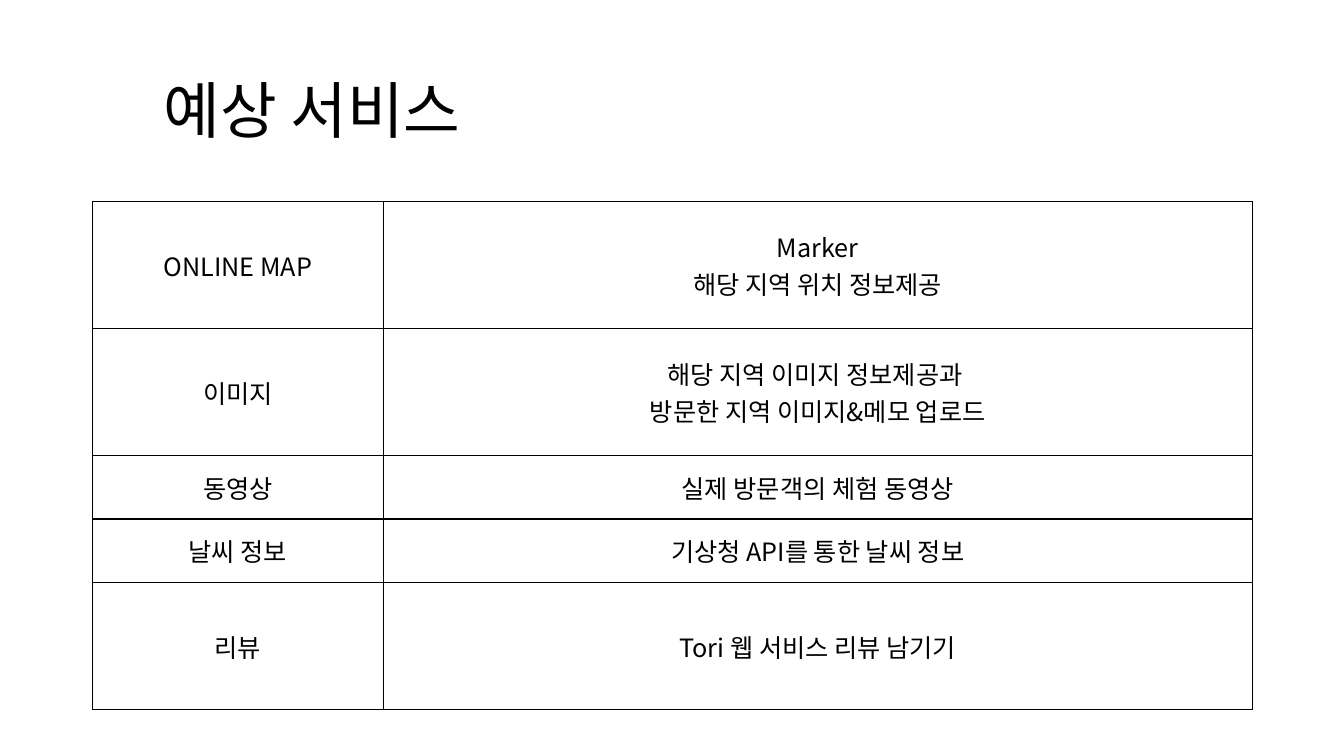
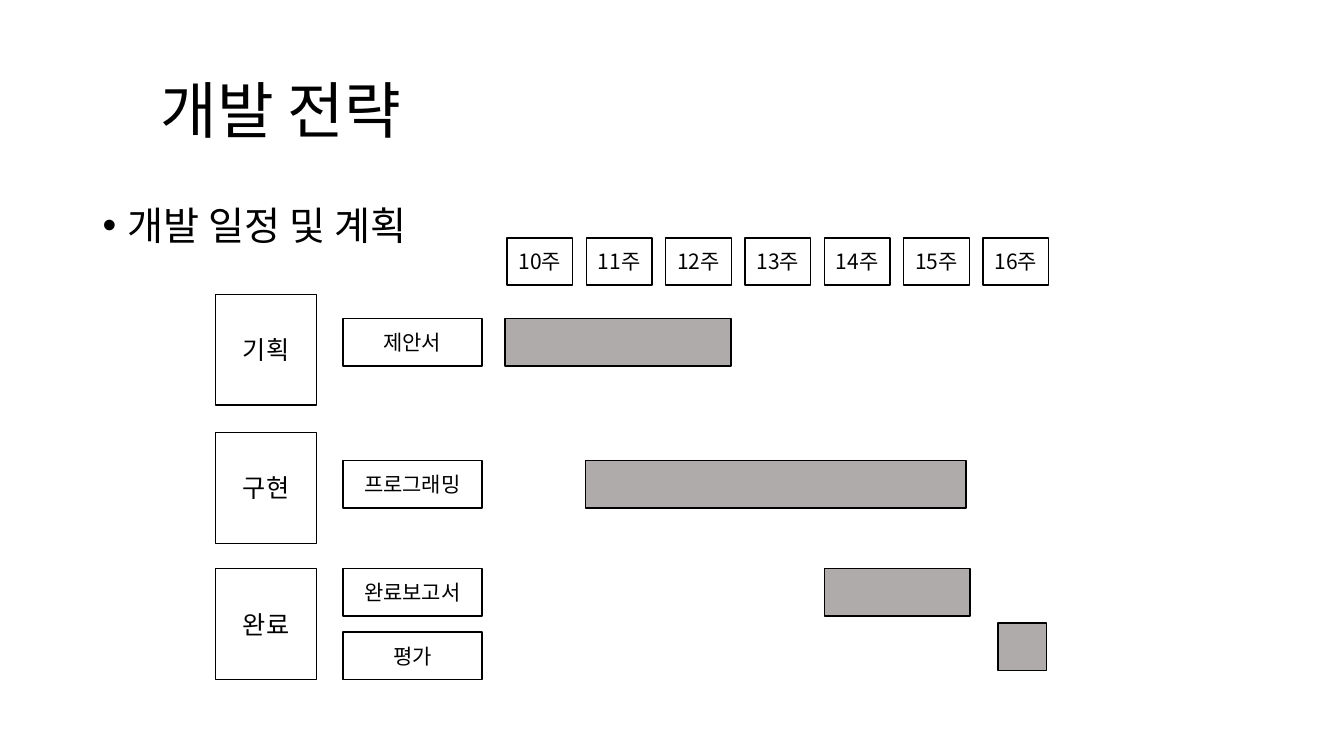
from dataclasses import dataclass

from lxml.etree import SubElement
from pptx import Presentation
from pptx.dml.color import RGBColor
from pptx.enum.shapes import MSO_SHAPE as Preset
from pptx.enum.text import MSO_ANCHOR as Anchor, PP_ALIGN as Align
from pptx.oxml import parse_xml
from pptx.oxml.ns import nsdecls, qn
from pptx.slide import Slide
from pptx.table import _Cell as Cell
from pptx.text.text import TextFrame
from pptx.util import Inches, Pt

BLACK = RGBColor(0x00, 0x00, 0x00)
WHITE = RGBColor(0xFF, 0xFF, 0xFF)
GRAY = RGBColor(0xAF, 0xAB, 0xAB)
FONT = "Noto Sans CJK KR"
TITLE_ONLY = 5
RIGHT_EDGE = 12.42
CONTENT_LEFT = 0.92
CONTENT_TOP = 2


@dataclass(frozen=True)
class Box:
    left: float
    top: float
    width: float
    height: float
    text: str = ""
    size: float = 15
    fill: RGBColor = WHITE


@dataclass(frozen=True)
class Service:
    name: str
    description: str
    height: float


@dataclass(frozen=True)
class Task:
    name: str
    top: float
    bar_left: float
    bar_top: float
    bar_width: float


SERVICES = (
    Service("ONLINE MAP", "Marker\n해당 지역 위치 정보제공", 1.26),
    Service("이미지", "해당 지역 이미지 정보제공과 \n방문한 지역 이미지&메모 업로드", 1.26),
    Service("동영상", "실제 방문객의 체험 동영상", 0.63),
    Service("날씨 정보", "기상청 API를 통한 날씨 정보", 0.63),
    Service("리뷰", "Tori 웹 서비스 리뷰 남기기", 1.26),
)
SERVICE_COLUMNS = (2.88, 8.62)

PHASES = {"기획": 2.92, "구현": 4.29, "완료": 5.64}
TASKS = (
    Task("제안서", 3.16, 5.01, 3.16, 2.24),
    Task("프로그래밍", 4.57, 5.81, 4.57, 3.77),
    Task("완료보고서", 5.64, 8.18, 5.64, 1.44),
    Task("평가", 6.27, 9.9, 6.18, 0.48),
)
WEEKS = range(10, 17)
FIRST_WEEK_LEFT = 5.03
LAST_WEEK_LEFT = 9.75
WEEK_TOP = 2.36
ROW_HEIGHT = 0.47


def write_text(frame: TextFrame, text: str, *, size: float,
               align: Align = Align.CENTER, anchor: Anchor = Anchor.MIDDLE,
               line_spacing: float = 1.0, space_before: float = 0,
               bullet: str = "") -> None:
    frame.word_wrap = True
    frame.vertical_anchor = anchor
    for index, line in enumerate(text.split("\n")):
        paragraph = frame.add_paragraph() if index else frame.paragraphs[0]
        paragraph.alignment = align
        paragraph.line_spacing = line_spacing
        paragraph.space_before = Pt(space_before)
        if bullet:
            properties = paragraph._p.get_or_add_pPr()
            properties.set("marL", str(Inches(0.25)))
            properties.set("indent", str(Inches(-0.25)))
            SubElement(properties, qn("a:buFont")).set("typeface", "Arial")
            SubElement(properties, qn("a:buChar")).set("char", bullet)
        run = paragraph.add_run()
        run.text = line
        run.font.size = Pt(size)
        run.font.name = FONT
        run.font.color.rgb = BLACK
        SubElement(run._r.get_or_add_rPr(), qn("a:ea")).set("typeface", FONT)


def add_titled_slide(presentation: Presentation, title: str, left: float) -> Slide:
    slide = presentation.slides.add_slide(presentation.slide_layouts[TITLE_ONLY])
    shape = slide.shapes.title
    shape.left, shape.top = Inches(left), Inches(0.4)
    shape.width, shape.height = Inches(RIGHT_EDGE - left), Inches(1.45)
    write_text(shape.text_frame, title, size=44, align=Align.LEFT, line_spacing=0.9)
    return slide


def draw_box(slide: Slide, box: Box) -> None:
    shape = slide.shapes.add_shape(
        Preset.RECTANGLE, Inches(box.left), Inches(box.top),
        Inches(box.width), Inches(box.height))
    shape.shadow.inherit = False
    shape.fill.solid()
    shape.fill.fore_color.rgb = box.fill
    shape.line.color.rgb = BLACK
    shape.line.width = Pt(1)
    if box.text:
        write_text(shape.text_frame, box.text, size=box.size)


def outline_cell(cell: Cell) -> None:
    properties = cell._tc.get_or_add_tcPr()
    for index, side in enumerate(("lnL", "lnR", "lnT", "lnB")):
        properties.insert(index, parse_xml(
            f'<a:{side} {nsdecls("a")} w="{Pt(1)}"><a:solidFill>'
            f'<a:srgbClr val="{BLACK}"/></a:solidFill></a:{side}>'))


def draw_services(slide: Slide) -> None:
    table = slide.shapes.add_table(
        len(SERVICES), len(SERVICE_COLUMNS), Inches(CONTENT_LEFT), Inches(CONTENT_TOP),
        Inches(sum(SERVICE_COLUMNS)),
        Inches(sum(service.height for service in SERVICES))).table
    table.first_row = False
    table.horz_banding = False
    for column, width in zip(table.columns, SERVICE_COLUMNS):
        column.width = Inches(width)
    for row, service in zip(table.rows, SERVICES):
        row.height = Inches(service.height)
        for cell, text in zip(row.cells, (service.name, service.description)):
            cell.fill.solid()
            cell.fill.fore_color.rgb = WHITE
            outline_cell(cell)
            cell.vertical_anchor = Anchor.MIDDLE
            write_text(cell.text_frame, text, size=18)
            del cell.text_frame._txBody.bodyPr.attrib["anchor"]


def draw_schedule(slide: Slide) -> None:
    heading = slide.shapes.add_textbox(
        Inches(CONTENT_LEFT), Inches(CONTENT_TOP), Inches(4.32), Inches(0.63))
    write_text(heading.text_frame, "개발 일정 및 계획", size=28, align=Align.LEFT,
               anchor=Anchor.TOP, line_spacing=0.9, space_before=10, bullet="•")
    for name, top in PHASES.items():
        draw_box(slide, Box(2.14, top, 1, 1.1, name, size=18))
    week_pitch = (LAST_WEEK_LEFT - FIRST_WEEK_LEFT) / (len(WEEKS) - 1)
    for index, week in enumerate(WEEKS):
        left = FIRST_WEEK_LEFT + index * week_pitch
        draw_box(slide, Box(left, WEEK_TOP, 0.65, ROW_HEIGHT, f"{week}주"))
    for task in TASKS:
        draw_box(slide, Box(3.4, task.top, 1.38, ROW_HEIGHT, task.name))
        draw_box(slide, Box(task.bar_left, task.bar_top, task.bar_width,
                            ROW_HEIGHT, fill=GRAY))


def main() -> None:
    presentation = Presentation()
    presentation.slide_width = Inches(13.33)
    presentation.slide_height = Inches(7.5)
    draw_services(add_titled_slide(presentation, "예상 서비스", 1.52))
    draw_schedule(add_titled_slide(presentation, "개발 전략", 1.49))
    presentation.save("out.pptx")


main()
